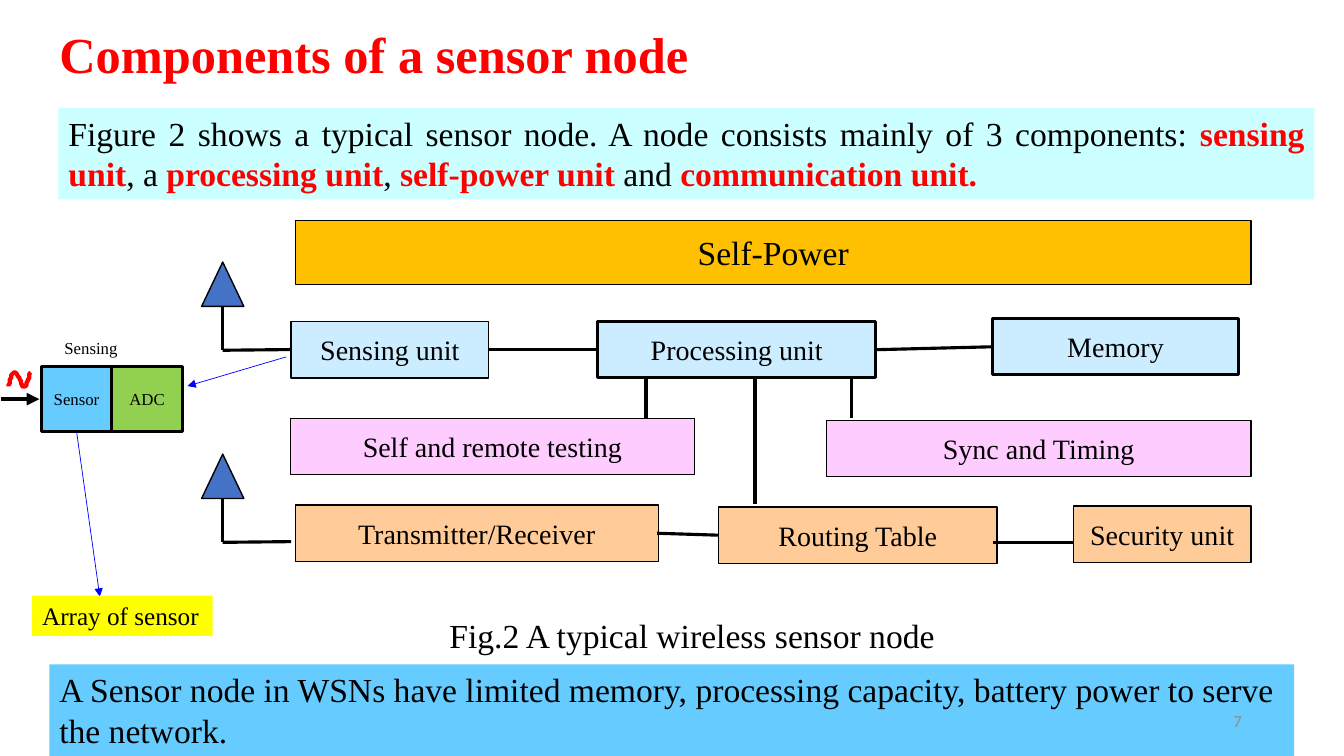
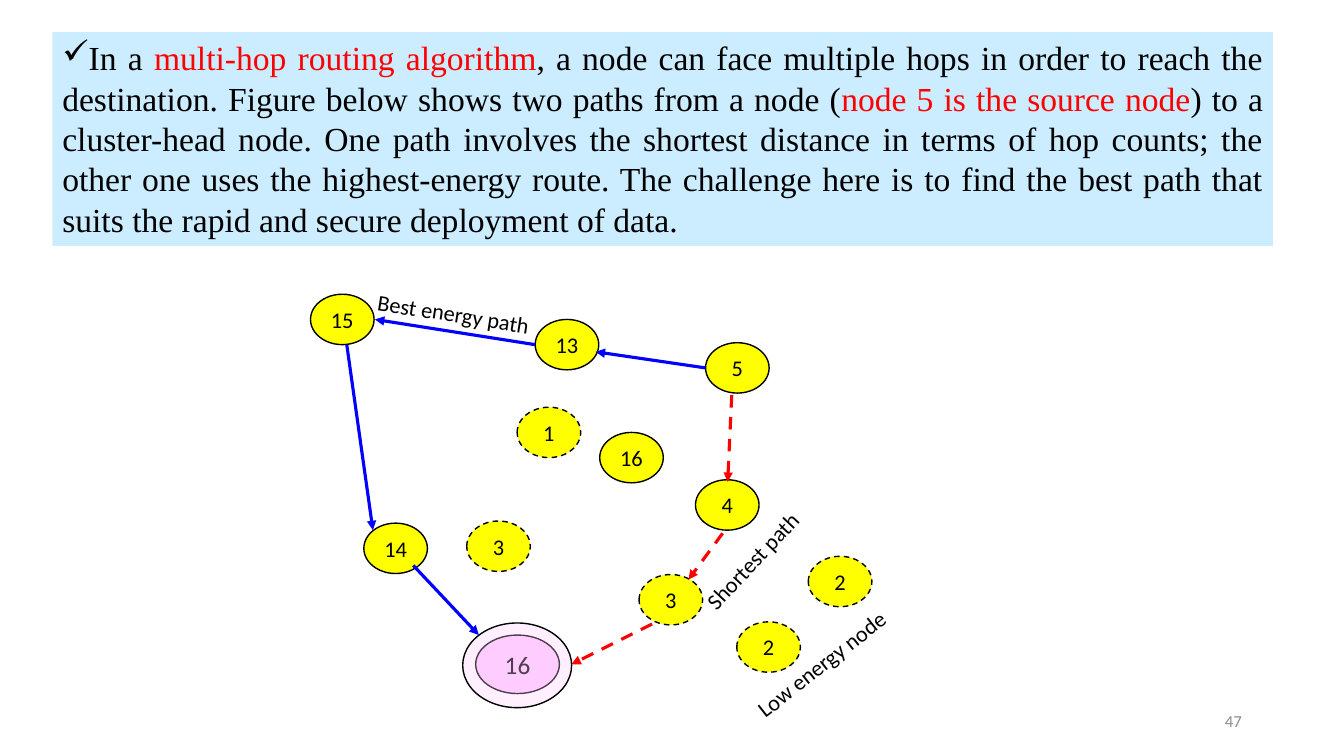
"""Build two slides on wireless sensor nodes: node components and multi-hop routing."""
from dataclasses import dataclass
from typing import NamedTuple

from lxml.etree import SubElement
from pptx import Presentation
from pptx.dml.color import RGBColor
from pptx.enum.dml import MSO_LINE
from pptx.enum.shapes import MSO_CONNECTOR, MSO_SHAPE
from pptx.enum.text import MSO_ANCHOR, PP_ALIGN
from pptx.oxml.ns import qn
from pptx.util import Pt


@dataclass(frozen=True)
class Theme:
    serif: str = "Times New Roman"
    sans: str = "Calibri"
    title: float = 36
    body: float = 24
    unit: float = 20
    note: float = 18
    node: float = 16
    small: float = 12
    thin: float = 1
    thick: float = 2.25
    black: str = "000000"
    red: str = "FF0000"
    blue: str = "0000FF"
    grey: str = "8C8C8C"
    yellow: str = "FFFF00"
    amber: str = "FFC000"
    green: str = "92D050"
    cyan: str = "CCFFFF"
    pale: str = "CCECFF"
    sky: str = "66CCFF"
    pink: str = "FFCCFF"
    peach: str = "FFCC99"
    antenna: str = "4472C4"


THEME = Theme()


class Box(NamedTuple):
    left: float
    top: float
    width: float
    height: float


class Span(NamedTuple):
    text: str
    color: str = THEME.black
    bold: bool = False


class Unit(NamedTuple):
    label: str
    box: Box
    fill: str
    size: float = THEME.unit
    border: float = THEME.thin


class Node(NamedTuple):
    label: str
    left: float
    top: float
    low_energy: bool = False


class Link(NamedTuple):
    x1: float
    y1: float
    x2: float
    y2: float
    color: str = THEME.black
    width: float = THEME.thick
    arrow: bool = False
    dashed: bool = False


class Caption(NamedTuple):
    label: str
    box: Box
    rotation: float


UNIT_HEIGHT = 40.3
UNITS = [
    Unit("Self-Power", Box(211, 157.7, 682.6, 45.4), THEME.amber, THEME.body),
    Unit("Sensing unit", Box(208, 229.7, 141.1, UNIT_HEIGHT), THEME.pale),
    Unit("Processing unit", Box(427, 229.7, 198.7, UNIT_HEIGHT), THEME.pale, border=THEME.thick),
    Unit("Memory", Box(709, 227.5, 175.7, UNIT_HEIGHT), THEME.pale, border=THEME.thick),
    Unit("Self and remote testing", Box(207.4, 298.8, 288.7, UNIT_HEIGHT), THEME.pink),
    Unit("Sync and Timing", Box(590.4, 300.2, 303.1, UNIT_HEIGHT), THEME.pink),
    Unit("Transmitter/Receiver", Box(211, 360.7, 259.2, UNIT_HEIGHT), THEME.peach),
    Unit("Routing Table", Box(513.4, 362.2, 198.7, UNIT_HEIGHT), THEME.peach),
    Unit("Security unit", Box(766.8, 361.4, 126.7, UNIT_HEIGHT), THEME.peach),
    Unit("Sensor", Box(29.5, 261.7, 50.4, 46.8), THEME.sky, THEME.small, THEME.thick),
    Unit("ADC", Box(79.9, 261.7, 50.4, 46.8), THEME.green, THEME.small, THEME.thick),
]
UNIT_LINKS = [
    Link(349.2, 249.8, 427, 249.8),
    Link(625.7, 249.8, 709, 247.7),
    Link(461.5, 270, 461.5, 298.8),
    Link(608.4, 270, 608.4, 298.8),
    Link(539.3, 270, 539.3, 360),
    Link(469.4, 380.9, 513.4, 382.3),
    Link(709, 387.4, 766.8, 387.4),
    Link(204.5, 254.9, 133.9, 275.8, THEME.blue, 0.5, True),
    Link(54.7, 308.2, 71.3, 426.2, THEME.blue, 0.5, True),
    Link(0.7, 285.1, 28.1, 285.1, width=3, arrow=True),
]
ANTENNA_TOPS = (187.2, 324.4)
WAVE_START = (5.8, 276.5)
WAVE_CURVES = [
    ((7.2, 271.4), (8.6, 265.7), (10.8, 265.7)),
    ((13, 265.7), (15.1, 276.5), (17.3, 276.5)),
    ((18.7, 276.5), (20.2, 271.4), (21.6, 265.7)),
]
NODES = [
    Node("13", 382.3, 228.2),
    Node("15", 221.8, 210.2),
    Node("14", 259.9, 373.7),
    Node("3", 333.4, 372.2, True),
    Node("2", 526.3, 444.2, True),
    Node("3", 456.5, 410.4, True),
    Node("2", 577.4, 397.4, True),
    Node("5", 504, 244.8),
    Node("4", 496.8, 342.7),
    Node("1", 369.4, 290.9, True),
    Node("16", 428.4, 308.9),
]
BEST_PATH = [
    (504, 262.8, 425.5, 251.3),
    (382.3, 246.2, 267.8, 228.2),
    (247.7, 246.2, 266.4, 378.7),
    (295.2, 403.9, 342, 453.6),
]
SHORTEST_PATH = [
    (522.7, 282.2, 519.8, 344.2),
    (516.2, 380.9, 491.8, 414),
    (465.8, 445.7, 408.2, 474.5),
]
PATH_CAPTIONS = [
    Caption("Best energy path", Box(262.1, 211.7, 136.1, 26.6), 8.9),
    Caption("Shortest path", Box(485.3, 384.5, 109.4, 26.6), 313.3),
    Caption("Low energy node", Box(522.7, 457.2, 137.5, 26.6), 321.9),
]


def write(shape, spans: list[Span], size: float, font: str = THEME.serif,
          align=PP_ALIGN.LEFT, anchor=MSO_ANCHOR.TOP, wrap: bool = True, bullet: str = "") -> None:
    frame = shape.text_frame
    frame.word_wrap = wrap
    frame.vertical_anchor = anchor
    paragraph = frame.paragraphs[0]
    paragraph.alignment = align
    if bullet:
        properties = paragraph._p.get_or_add_pPr()
        properties.set("marL", "0")
        properties.set("indent", "0")
        SubElement(properties, qn("a:buChar")).set("char", bullet)
    for span in spans:
        run = paragraph.add_run()
        run.text = span.text
        run.font.name = font
        run.font.size = Pt(size)
        run.font.bold = span.bold
        run.font.color.rgb = RGBColor.from_string(span.color)


def add_text(slide, box: Box, spans: list[Span], size: float, **layout):
    label = slide.shapes.add_textbox(*map(Pt, box))
    write(label, spans, size, **layout)
    return label


def add_outlined(slide, kind, box: Box, fill: str, border: float = THEME.thin):
    shape = slide.shapes.add_shape(kind, *map(Pt, box))
    shape.shadow.inherit = False
    shape.fill.solid()
    shape.fill.fore_color.rgb = RGBColor.from_string(fill)
    shape.line.color.rgb = RGBColor.from_string(THEME.black)
    shape.line.width = Pt(border)
    return shape


def add_panel(slide, box: Box, fill: str, spans: list[Span], size: float = THEME.body, **layout) -> None:
    panel = add_outlined(slide, MSO_SHAPE.RECTANGLE, box, fill)
    panel.line.fill.background()
    write(panel, spans, size, **layout)


def add_unit(slide, unit: Unit) -> None:
    shape = add_outlined(slide, MSO_SHAPE.RECTANGLE, unit.box, unit.fill, unit.border)
    write(shape, [Span(unit.label)], unit.size, align=PP_ALIGN.CENTER, anchor=MSO_ANCHOR.MIDDLE, wrap=False)


def add_node(slide, node: Node) -> None:
    oval = add_outlined(slide, MSO_SHAPE.OVAL, Box(node.left, node.top, 45.4, 36), THEME.yellow)
    if node.low_energy:
        oval.line.dash_style = MSO_LINE.DASH
    write(oval, [Span(node.label)], THEME.node, THEME.sans, PP_ALIGN.CENTER, MSO_ANCHOR.MIDDLE, False)


def add_link(slide, link: Link) -> None:
    connector = slide.shapes.add_connector(MSO_CONNECTOR.STRAIGHT, *map(Pt, link[:4]))
    connector.line.color.rgb = RGBColor.from_string(link.color)
    connector.line.width = Pt(link.width)
    if link.dashed:
        connector.line.dash_style = MSO_LINE.DASH
    if link.arrow:
        SubElement(connector.line._get_or_add_ln(), qn("a:tailEnd")).set("type", "triangle")
    SubElement(connector._element.spPr, qn("a:effectLst"))


def add_antenna(slide, top: float) -> None:
    add_outlined(slide, MSO_SHAPE.ISOSCELES_TRIANGLE, Box(144, top, 30.2, 31.7), THEME.antenna)
    add_link(slide, Link(159.1, top + 31.7, 159.1, top + 63))
    add_link(slide, Link(159.1, top + 63, 208, top + 62.5))


def add_wave(slide) -> None:
    points, start, steps = [], WAVE_START, 12
    for first, second, end in WAVE_CURVES:
        for step in range(1, steps + 1):
            t = step / steps
            points.append(tuple(
                (1 - t) ** 3 * a + 3 * t * (1 - t) ** 2 * b + 3 * t ** 2 * (1 - t) * c + t ** 3 * d
                for a, b, c, d in zip(start, first, second, end)))
        start = end
    builder = slide.shapes.build_freeform(*WAVE_START, scale=float(Pt(1)))
    builder.add_line_segments(points, close=False)
    wave = builder.convert_to_shape()
    wave.shadow.inherit = False
    wave.fill.background()
    wave.line.color.rgb = RGBColor.from_string(THEME.red)
    wave.line.width = Pt(3)


def add_slide_number(slide, number: int) -> None:
    add_text(slide, Box(678.2, 500.4, 216, 28.8), [Span(str(number), THEME.grey)], THEME.small,
             font=THEME.sans, align=PP_ALIGN.RIGHT, anchor=MSO_ANCHOR.MIDDLE)


def build_components(slide) -> None:
    add_text(slide, Box(35.3, 13, 468, 51.1), [Span("Components of a sensor node", THEME.red, True)],
             THEME.title, wrap=False)
    add_panel(slide, Box(41.8, 77, 897.1, 65.5), THEME.cyan, [
        Span("Figure 2 shows a typical sensor node. A node consists mainly of 3 components: "),
        Span("sensing unit", THEME.red, True), Span(", a "),
        Span("processing unit", THEME.red, True), Span(", "),
        Span("self-power unit ", THEME.red, True), Span("and"),
        Span(" communication unit.", THEME.red, True),
    ], align=PP_ALIGN.JUSTIFY)
    for unit in UNITS:
        add_unit(slide, unit)
    for top in ANTENNA_TOPS:
        add_antenna(slide, top)
    for link in UNIT_LINKS:
        add_link(slide, link)
    add_wave(slide)
    add_text(slide, Box(38.9, 237.6, 77.8, 21.6), [Span("Sensing")], THEME.small)
    add_panel(slide, Box(23, 425.5, 128.9, 28.8), THEME.yellow, [Span("Array of sensor")], THEME.note)
    add_text(slide, Box(313.9, 435.6, 364.3, 36.7), [Span("Fig.2 A typical wireless sensor node")],
             THEME.body, wrap=False)
    add_panel(slide, Box(35.3, 474.5, 889.2, 65.5), THEME.sky, [Span(
        "A Sensor node in WSNs have limited memory, processing capacity, "
        "battery power to serve the network.")])
    add_slide_number(slide, 7)


def build_routing(slide) -> None:
    add_panel(slide, Box(37.4, 23, 871.9, 152.6), THEME.pale, [
        Span("In a "), Span("multi-hop routing algorithm", THEME.red),
        Span(", a node can face multiple hops in order to reach the destination. "
             "Figure below shows two paths from a node ("),
        Span("node 5 is the source node", THEME.red),
        Span(") to a cluster-head node. One path involves the shortest distance in terms of hop counts; "
             "the other one uses the highest-energy route. The challenge here is to find the best path "
             "that suits the rapid and secure deployment of data."),
    ], align=PP_ALIGN.JUSTIFY, bullet="✓")
    head = add_outlined(slide, MSO_SHAPE.OVAL, Box(339.8, 453.6, 59.8, 41.8), THEME.pink)
    write(head, [Span("16")], THEME.note, THEME.sans, PP_ALIGN.CENTER, MSO_ANCHOR.MIDDLE, False)
    halo = add_outlined(slide, MSO_SHAPE.OVAL, Box(330.5, 445, 77.8, 60.5), THEME.pink)
    tint = halo._element.spPr.find(qn("a:solidFill")).find(qn("a:srgbClr"))
    SubElement(tint, qn("a:alpha")).set("val", "30000")
    for node in NODES:
        add_node(slide, node)
    for hop in BEST_PATH:
        add_link(slide, Link(*hop, color=THEME.blue, arrow=True))
    for hop in SHORTEST_PATH:
        add_link(slide, Link(*hop, color=THEME.red, arrow=True, dashed=True))
    for caption in PATH_CAPTIONS:
        label = add_text(slide, caption.box, [Span(caption.label)], THEME.node, font=THEME.sans)
        label.rotation = caption.rotation
    add_slide_number(slide, 47)


def main() -> None:
    deck = Presentation()
    deck.slide_width, deck.slide_height = Pt(960), Pt(540)
    for build in (build_components, build_routing):
        build(deck.slides.add_slide(deck.slide_layouts[6]))
    deck.save("out.pptx")


if __name__ == "__main__":
    main()
